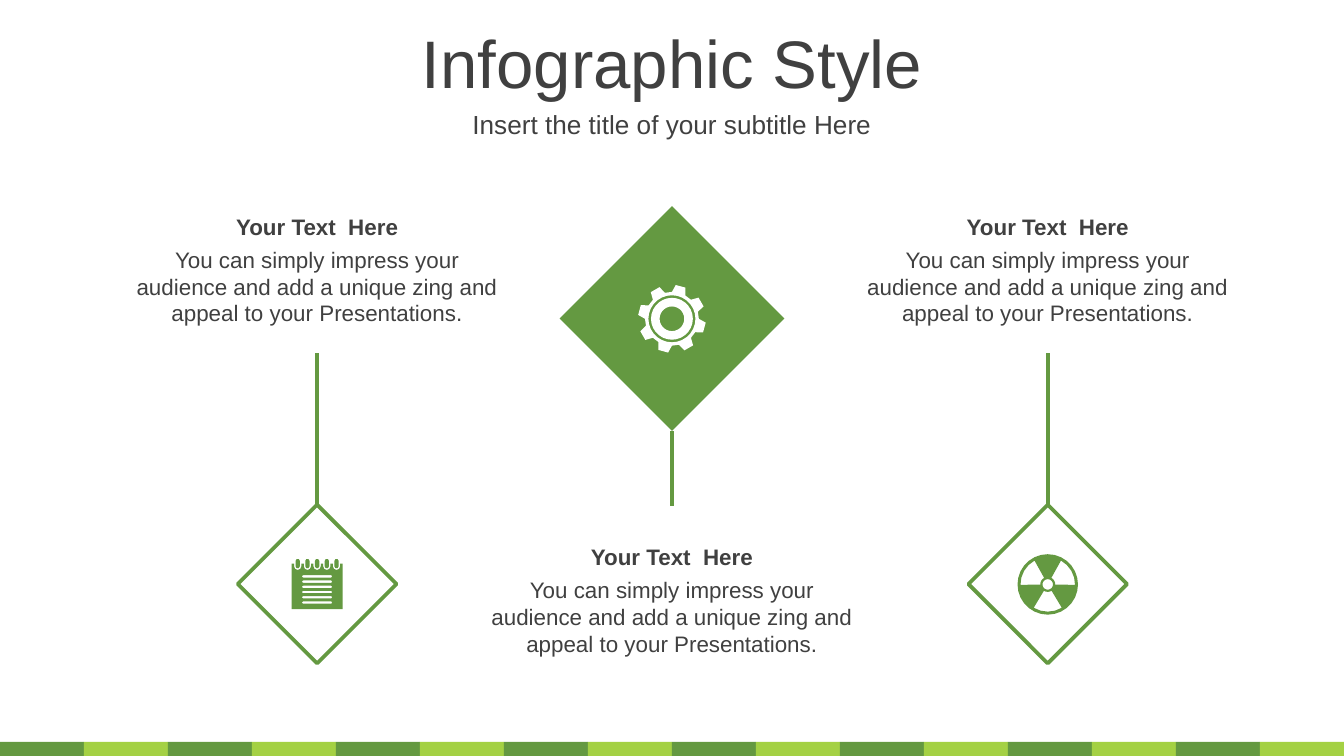
"""Build a slide of three linked diamonds with icons and captions."""
import math

import lxml.etree
import pptx
import pptx.dml.color
import pptx.enum.shapes
import pptx.enum.text
import pptx.oxml.ns
import pptx.util

Pt = pptx.util.Pt
SHAPE = pptx.enum.shapes.MSO_SHAPE
FIT = pptx.enum.text.MSO_AUTO_SIZE
GREEN = pptx.dml.color.RGBColor(0x64, 0x99, 0x41)
LIME = pptx.dml.color.RGBColor(0xA4, 0xD1, 0x44)
WHITE = pptx.dml.color.RGBColor(0xFF, 0xFF, 0xFF)
GREY = pptx.dml.color.RGBColor(0x40, 0x40, 0x40)

HEAD = "Your Text  Here"
BODY = "You can simply impress your audience and add a unique zing and appeal to your Presentations."


def place(shape, box):
    """Move a shape to a box given in points."""
    for name, value in zip(("left", "top", "width", "height"), box):
        setattr(shape, name, Pt(value))


def write(shape, text, size, bold=False, fit=FIT.NONE):
    """Fill a shape with one centred, formatted paragraph."""
    frame = shape.text_frame
    frame.text = text
    para = frame.paragraphs[0]
    font = para.runs[0].font
    looks = (
        (frame, {"word_wrap": True, "auto_size": fit,
                 "vertical_anchor": pptx.enum.text.MSO_ANCHOR.MIDDLE}),
        (para, {"alignment": pptx.enum.text.PP_ALIGN.CENTER, "space_before": Pt(0)}),
        (font, {"name": "Arial", "size": Pt(size), "bold": bold}),
        (font.color, {"rgb": GREY}),
    )
    for part, look in looks:
        for name, value in look.items():
            setattr(part, name, value)


def paint(shape, fill, edge=None):
    """Give a shape a flat fill and, if asked, an edge."""
    shape.shadow.inherit = False
    shape.fill.solid()
    shape.fill.fore_color.rgb = fill
    if edge is None:
        shape.line.fill.background()
    else:
        shape.line.color.rgb = edge
        shape.line.width = Pt(2)


def block(slide, kind, box, fill, edge=None):
    """Add a painted preset shape."""
    shape = slide.shapes.add_shape(kind, *map(Pt, box))
    paint(shape, fill, edge)
    return shape


def arc(x, y, radius, start, end, steps=4):
    """List points along an arc, with angles in degrees."""
    turns = [math.radians(start + (end - start) * i / steps) for i in range(steps + 1)]
    return [(x + radius * math.cos(t), y + radius * math.sin(t)) for t in turns]


def ring(x, y, radius):
    """List points around a full circle."""
    return arc(x, y, radius, 0, 360, 28)[:-1]


def pill(x1, y1, x2, y2, radius):
    """List points around a bar with round ends."""
    turn = math.degrees(math.atan2(y2 - y1, x2 - x1))
    return (arc(x2, y2, radius, turn - 90, turn + 90, 3)
            + arc(x1, y1, radius, turn + 90, turn + 270, 3))


def trace(slide, loops, fill):
    """Draw closed loops as one outline, where inner loops are holes."""
    paths = [[(Pt(x), Pt(y)) for x, y in loop] for loop in loops]
    pen = slide.shapes.build_freeform(*paths[0][0])
    for index, path in enumerate(paths):
        if index:
            pen.move_to(*path[0])
        pen.add_line_segments(path[1:], close=True)
    paint(pen.convert_to_shape(), fill)


def gear(slide, box):
    """Draw a gear with eight teeth in a box."""
    left, top, width, height = box
    x, y = left + width / 2, top + height / 2
    teeth = []
    for tooth in range(8):
        mid = 45 * tooth - 75
        teeth += [arc(x, y, radius, mid + shift, mid, 1)[0] for radius, shift in
                  ((14.4, -15), (18.2, -8.5), (18.2, 8.5), (14.4, 15))]
    trace(slide, [teeth] + [ring(x, y, r) for r in (12.6, 11.2, 6.6)], WHITE)


def pad(slide, box):
    """Draw a spiral note pad in a box."""
    left, top, width, height = box
    right, foot, edge = left + width, top + height, top + 2.6
    coils = [left + width / 2 + 5.2 * i for i in range(-2, 3)]
    sheet = [(left, edge)]
    for x in coils:
        sheet += [(x - 1.95, edge)] + arc(x, top + 4.1, 1.95, 180, 0) + [(x + 1.95, edge)]
    sheet += [(right, edge), (right, foot), (left, foot)]
    loops = [sheet] + [pill(x, top + 1.2, x, top + 4.1, 1.15) for x in coils]
    for row in range(6):
        y = top + 9.5 + 2.8 * row
        loops.append(pill(left + 6.3, y, right - 6.3, y, 0.65))
    trace(slide, loops, GREEN)


def fan(slide, box):
    """Draw a disc with three cut wedges in a box."""
    left, top, width, height = box
    x, y = left + width / 2, top + height / 2
    loops = [ring(x, y, width / 2), ring(x, y, 2.8)]
    for mid in (90, 210, 330):
        loops.append(arc(x, y, 14.6, mid - 31, mid + 31) + arc(x, y, 4, mid + 31, mid - 31))
    trace(slide, loops, GREEN)


def link(slide, gem, site, ends):
    """Join a diamond's corner to a free end with a line."""
    line = slide.shapes.add_connector(
        pptx.enum.shapes.MSO_CONNECTOR.STRAIGHT, *map(Pt, ends))
    line.line.color.rgb = GREEN
    line.line.width = Pt(2)
    lxml.etree.SubElement(line._element.spPr, pptx.oxml.ns.qn("a:effectLst"))
    (line.begin_connect if site == 2 else line.end_connect)(gem, site)


def note(slide, box):
    """Write a bold heading over its text in a box."""
    left, top, width, height = box
    rows = ((top, 21.6, HEAD, True), (top + 17.3, height - 17.3, BODY, False))
    for y, tall, text, bold in rows:
        area = slide.shapes.add_textbox(*map(Pt, (left, y, width, tall)))
        write(area, text, 12, bold, FIT.SHAPE_TO_FIT_TEXT)


def side(slide, box, icon):
    """Build a note on top, linked to an outlined diamond below."""
    left, top, width, height = box
    draw, wide, drop, tall = icon
    mid, size = left + width / 2, 85
    peak = top + height - size
    note(slide, (left, top, width, 68.4))
    gem = block(slide, SHAPE.DIAMOND, (mid - size / 2, peak, size, size), WHITE, GREEN)
    draw(slide, (mid - wide / 2, peak + drop, wide, tall))
    link(slide, gem, 0, (mid, top + 78.8, mid, peak))


def centre(slide, box):
    """Build a solid diamond on top, linked to a note below."""
    left, top, width, height = box
    mid, size = left + width / 2, 120.4
    gem = block(slide, SHAPE.DIAMOND, (mid - size / 2, top, size, size), GREEN)
    gear(slide, (mid - 18.2, top + 42.2, 36.4, 36.4))
    link(slide, gem, 2, (mid, top + size, mid, top + 160.5))
    note(slide, (left, top + height - 68.4, width, 68.4))


def strip(slide, box):
    """Lay a row of blocks in two greens across a box."""
    left, top, width, height = box
    count = 16
    step = width / count
    for i in range(count):
        block(slide, SHAPE.RECTANGLE, (left + i * step, top, step, height),
              (GREEN, LIME)[i % 2])


def header(slide, box):
    """Set the title and subtitle in a box."""
    left, top, width, height = box
    title, sub = slide.shapes.title, slide.placeholders[1]
    place(title, (left, top, width, 45.4))
    place(sub, (left, top + 45.4, width, height - 45.4))
    write(title, "Infographic Style", 36)
    write(sub, "Insert the title of your subtitle Here", 14)


def main():
    """Build and save the slide."""
    deck = pptx.Presentation()
    deck.slide_width, deck.slide_height = Pt(720), Pt(405)
    slide = deck.slides.add_slide(deck.slide_layouts[0])
    strip(slide, (0, 397.5, 720, 7.5))
    header(slide, (0, 10.1, 720, 67.7))
    side(slide, (64.8, 110.4, 210.2, 245), (pad, 27.4, 28.9, 27))
    centre(slide, (254.9, 110.4, 210.2, 245.6))
    side(slide, (456.2, 110.4, 210.2, 245), (fan, 32.4, 26.5, 32.4))
    deck.save("out.pptx")


if __name__ == "__main__":
    main()
